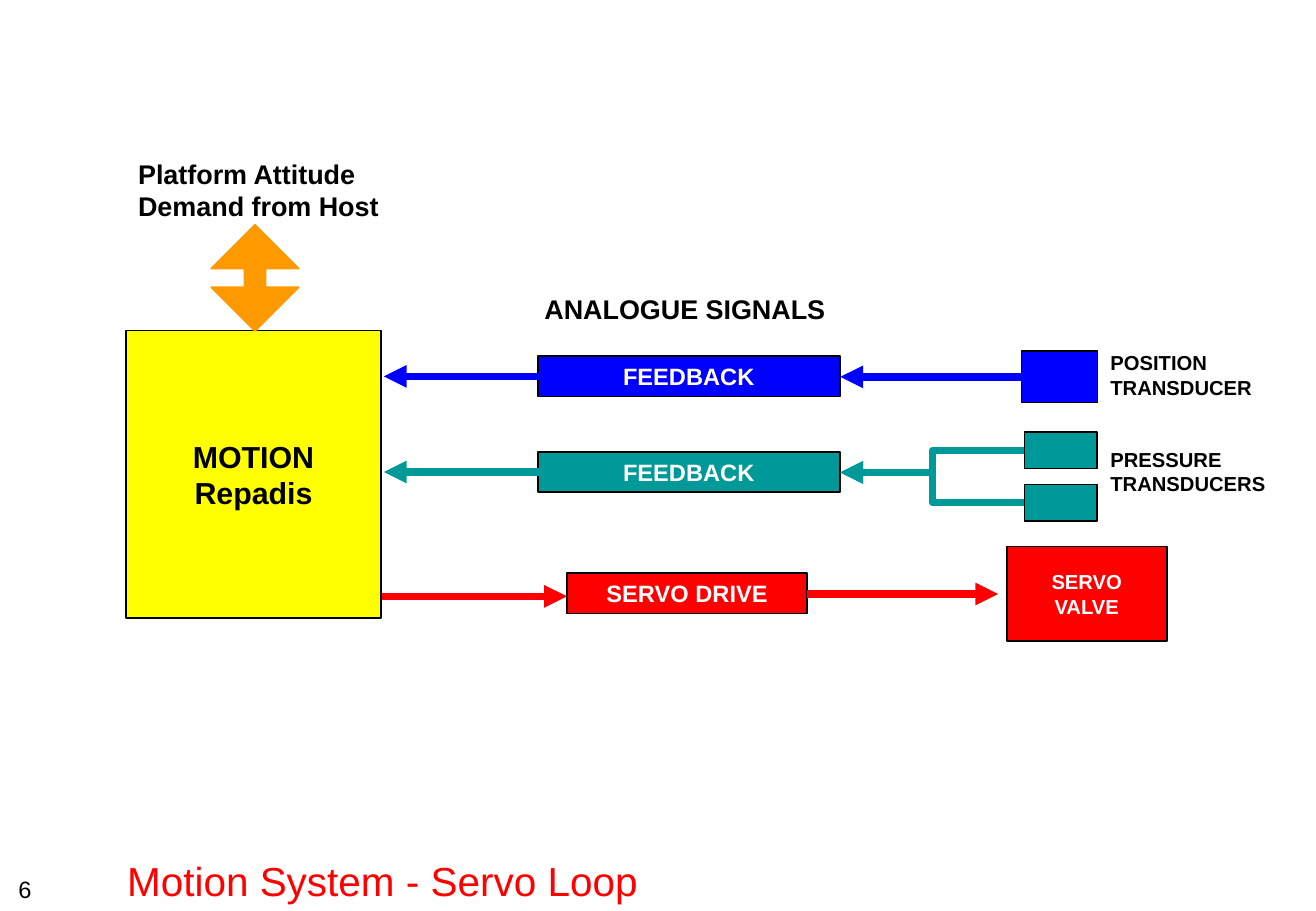
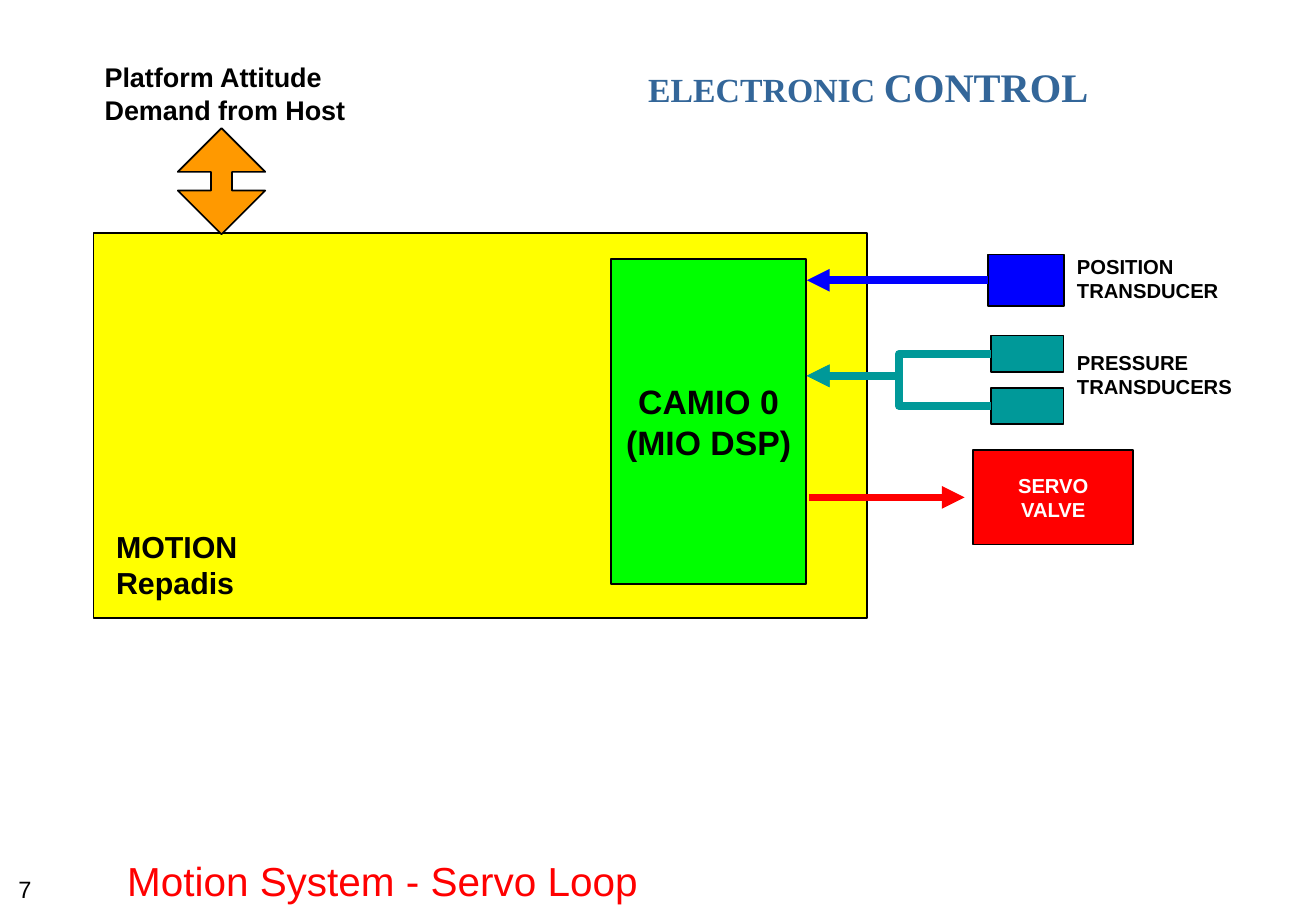
from lxml import etree
from pptx import Presentation
from pptx.dml.color import RGBColor
from pptx.enum.shapes import MSO_CONNECTOR, MSO_SHAPE
from pptx.enum.text import MSO_ANCHOR, PP_ALIGN
from pptx.oxml.ns import qn
from pptx.util import Cm, Pt

STRAIGHT, ELBOW = MSO_CONNECTOR.STRAIGHT, MSO_CONNECTOR.ELBOW
RECTANGLE, UP_DOWN_ARROW = MSO_SHAPE.RECTANGLE, MSO_SHAPE.UP_DOWN_ARROW
TOP, MIDDLE, BOTTOM = MSO_ANCHOR.TOP, MSO_ANCHOR.MIDDLE, MSO_ANCHOR.BOTTOM
LEFT, CENTER = PP_ALIGN.LEFT, PP_ALIGN.CENTER

COLORS = {
    "black": "000000", "white": "FFFFFF", "red": "FF0000", "blue": "0000FF",
    "teal": "009999", "yellow": "FFFF00", "green": "00FF00",
    "orange": "FF9900", "steel": "336699",
}
RGB = {name: RGBColor.from_string(value) for name, value in COLORS.items()}


def add_box(slide, place, text="", size=12, color="black", fill=None, align=LEFT,
            anchor=TOP, bold=True, font="Arial", outline="black", kind=RECTANGLE):
    """Add a text box, or an outlined shape when fill is given; place is in cm."""
    place = [Cm(length) for length in place]
    if fill:
        shape = slide.shapes.add_shape(kind, *place)
        shape.shadow.inherit = False
        shape.fill.solid()
        shape.fill.fore_color.rgb = RGB[fill]
        shape.line.color.rgb = RGB[outline]
        shape.line.width = Pt(1)
        align, anchor = CENTER, MIDDLE
    else:
        shape = slide.shapes.add_textbox(*place)
    text_frame = shape.text_frame
    text_frame.word_wrap = True
    text_frame.vertical_anchor = anchor
    text_frame.text = text
    for paragraph in text_frame.paragraphs:
        paragraph.alignment = align
        for run in paragraph.runs:
            run.font.name = font
            run.font.size = Pt(size)
            run.font.bold = bold
            run.font.color.rgb = RGB[color]
    return shape


def add_arrow(slide, start, end, color, kind=STRAIGHT):
    connector = slide.shapes.add_connector(kind, *[Cm(length) for length in start + end])
    connector.line.color.rgb = RGB[color]
    connector.line.width = Pt(4.5)
    line = connector.line._get_or_add_ln()
    etree.SubElement(line, qn("a:tailEnd"), type="triangle")
    etree.SubElement(connector._element.spPr, qn("a:effectLst"))


presentation = Presentation()
presentation.slide_width, presentation.slide_height = Cm(27.53), Cm(19.05)
blank_layout = presentation.slide_layouts[6]
analogue_slide = presentation.slides.add_slide(blank_layout)
digital_slide = presentation.slides.add_slide(blank_layout)

# Analogue loop: every signal has its own line to the motion computer
add_arrow(analogue_slide, (7.19, 12.47), (11.86, 12.47), "red")
add_box(analogue_slide, (2.64, 6.91, 5.33, 6.02), "MOTION\nRepadis", 18, fill="yellow")
add_box(analogue_slide, (10.78, 5.99, 7.1, 0.91), "ANALOGUE SIGNALS", 16, align=CENTER)
for center, color in ((7.87, "blue"), (9.87, "teal")):
    add_box(analogue_slide, (11.25, center - 0.42, 6.32, 0.84), "FEEDBACK", 14, "white", color)
    add_arrow(analogue_slide, (11.3, center), (8.03, center), color)
add_box(analogue_slide, (11.86, 11.99, 5.03, 0.84), "SERVO DRIVE", 14, "white", "red")

# Digital loop: a card inside the motion computer takes the signals
add_box(digital_slide, (1.96, 4.88, 16.18, 8.05), fill="yellow")
add_box(digital_slide, (12.78, 5.41, 4.09, 6.81), "CAMIO 0\n(MIO DSP)", 20, fill="green")
add_box(digital_slide, (2.18, 10.92, 3.5, 1.78), "MOTION\nRepadis", 18)
heading = add_box(digital_slide, (13.31, 1.17, 10.41, 1.27), "ELECTRONIC ", 20, "steel",
                  font="Times New Roman")
large_run = heading.text_frame.paragraphs[0].add_run()
large_run.text = "CONTROL"
large_run.font.name = "Times New Roman"
large_run.font.size = Pt(24)
large_run.font.bold = True
large_run.font.color.rgb = RGB["steel"]

# Parts on both slides: number, offset of the diagram, valve arrow start, host arrow outline
variants = (
    (analogue_slide, "6", 0, 0, 16.89, "orange"),
    (digital_slide, "7", -0.7, -2.02, 17.62, "black"),
)
for slide, number, dx, dy, valve_start, outline in variants:
    add_box(slide, (0, 18.16, 1.04, 0.86), number, 14, align=CENTER, anchor=MIDDLE, bold=False)
    add_box(slide, (2.41, 17.75, 25.1, 1.3), "Motion System - Servo Loop", 24, "red",
            anchor=BOTTOM, bold=False)

    add_box(slide, (2.64 + dx, 3.17 + dy, 6.1, 1.63), "Platform Attitude\nDemand from Host", 16)
    host_arrow = add_box(slide, (4.42 + dx, 4.7 + dy, 1.83, 2.22), fill="orange",
                         outline=outline, kind=UP_DOWN_ARROW)
    host_arrow.adjustments[0] = 0.5
    host_arrow.adjustments[1] = 0.241

    add_box(slide, (21.37 + dx, 7.34 + dy, 1.59, 1.08), fill="blue")
    add_arrow(slide, (21.37 + dx, 7.88 + dy), (17.58 + dx, 7.88 + dy), "blue")
    for top in (9.04, 10.13):
        add_box(slide, (21.43 + dx, top + dy, 1.52, 0.76), fill="teal")
        add_arrow(slide, (21.43 + dx, top + 0.38 + dy), (17.58 + dx, 9.88 + dy), "teal", ELBOW)
    for top, label in ((7.21, "POSITION\nTRANSDUCER"), (9.22, "PRESSURE\nTRANSDUCERS")):
        add_box(slide, (22.98 + dx, top + dy, 4.22, 1.27), label)

    add_box(slide, (21.06 + dx, 11.43 + dy, 3.35, 1.98), "SERVO\nVALVE", 12, "white", "red")
    add_arrow(slide, (valve_start + dx, 12.42 + dy), (20.88 + dx, 12.42 + dy), "red")

presentation.save("out.pptx")
